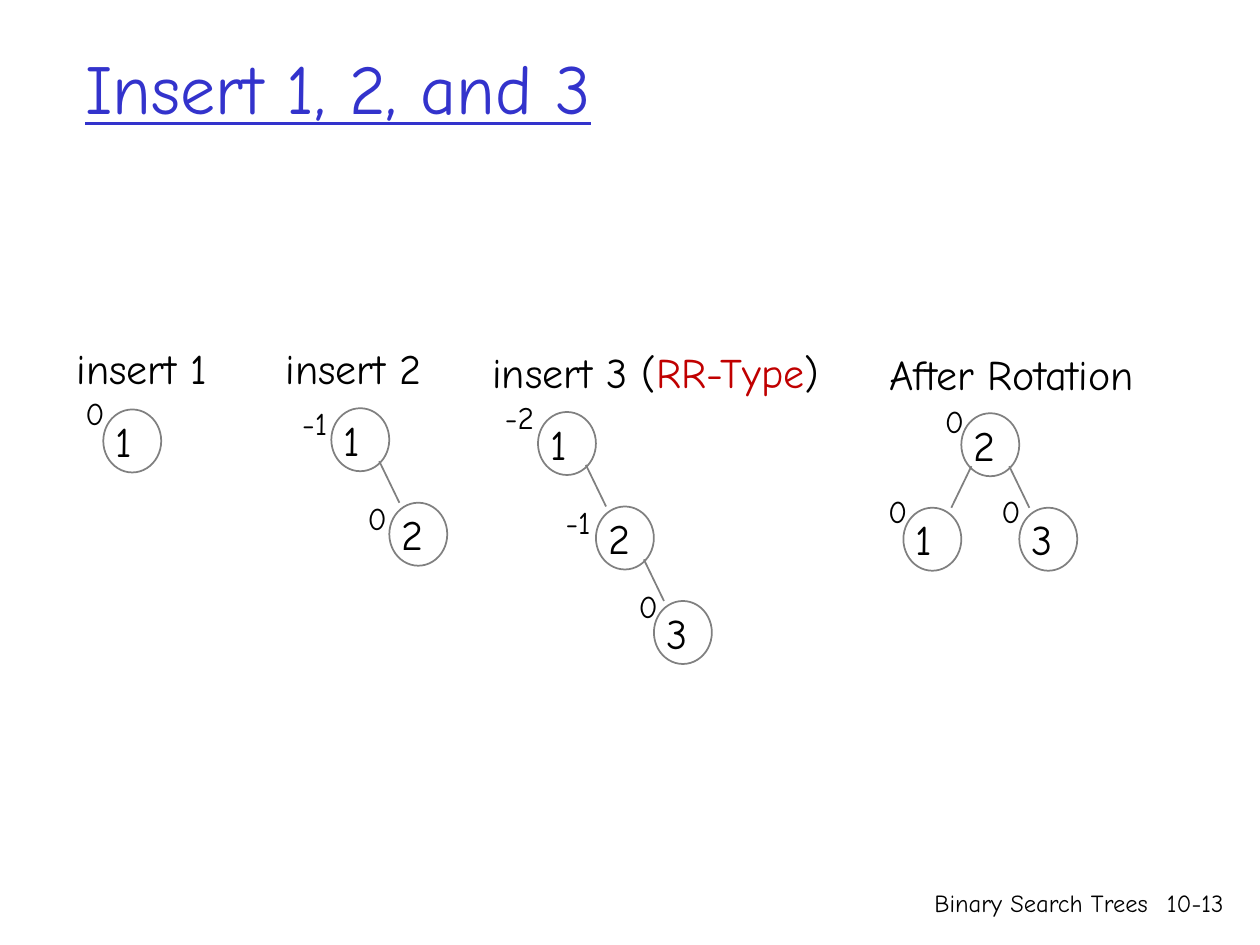
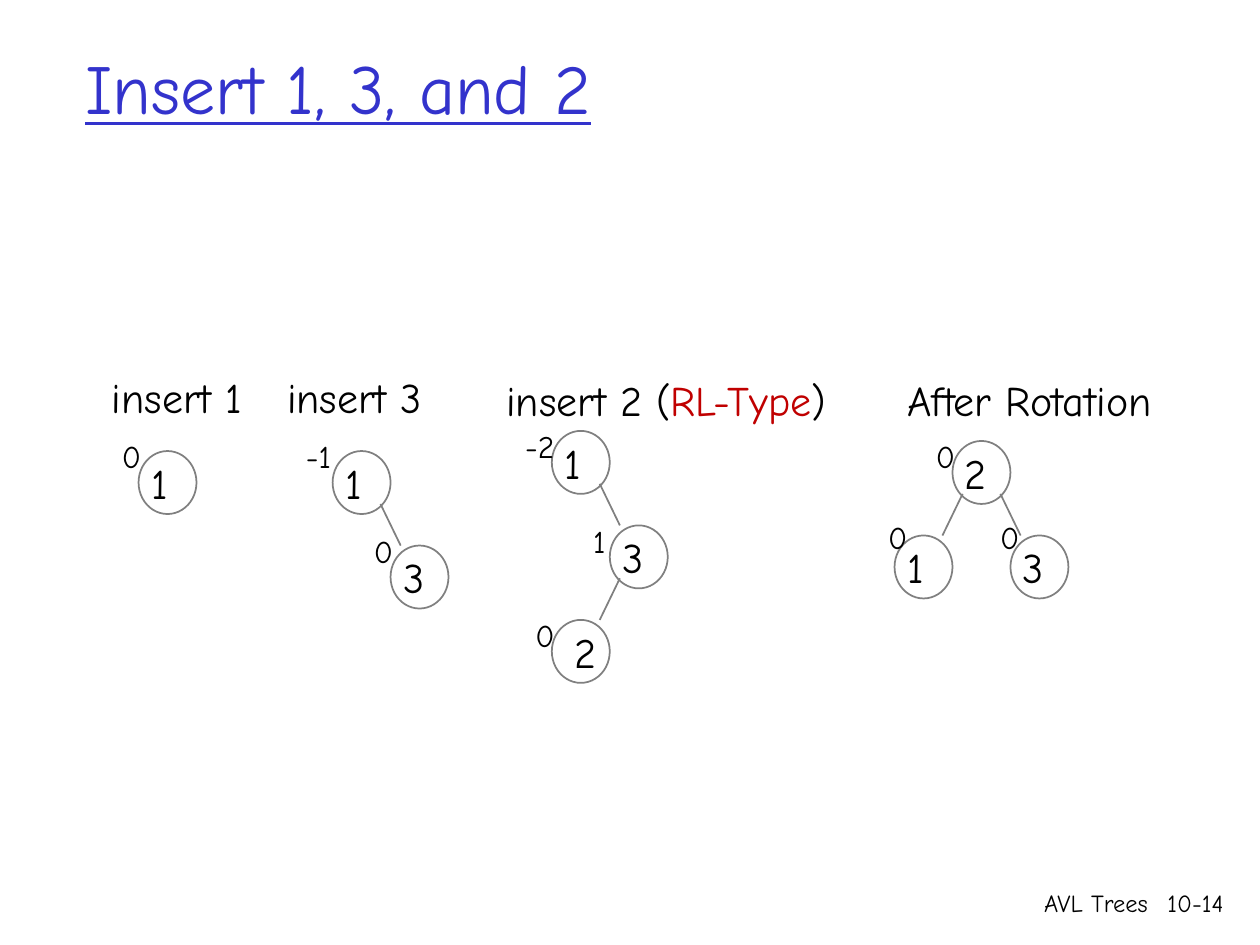
import dataclasses
import typing

import pptx
import pptx.dml.color
import pptx.enum.shapes
import pptx.enum.text
import pptx.oxml.ns
import pptx.util
from lxml import etree
from pptx.util import Inches

FONT = "Comic Neue"
COLORS = {"title": "3333CC", "text": "000000", "type": "C00000", "line": "808080"}

NODE_W, NODE_H = 0.46, 0.5
LEVEL_H = 0.75
KEY_W = 0.38
EDGE_INSET, EDGE_DROP, EDGE_LAND = 0.08, 0.42, 0.31
BALANCE_WIDTHS = {"0": 0.36, "1": 0.32, "-1": 0.42, "-2": 0.46}


@dataclasses.dataclass
class Node:
    """A tree node; offset places its balance factor relative to its circle."""
    key: str
    balance: str
    offset: tuple
    left: typing.Optional["Node"] = None
    right: typing.Optional["Node"] = None
    key_shift: float = 0


def rgb(name):
    return pptx.dml.color.RGBColor.from_string(COLORS[name])


def add_text(shapes, box, runs, size, wrap=False, align=None, underline=None):
    """Add a text box holding one paragraph of (text, colour name) runs."""
    sp = shapes.add_textbox(*map(Inches, box))
    tf = sp.text_frame
    tf.word_wrap = wrap
    p = tf.paragraphs[0]
    p.alignment = align
    for text, color in runs:
        r = p.add_run()
        r.text = text
        r.font.name = FONT
        r.font.size = pptx.util.Pt(size)
        r.font.underline = underline
        r.font.color.rgb = rgb(color)
    return sp


def style_line(sp):
    sp.line.color.rgb = rgb("line")
    sp.line.width = pptx.util.Pt(1)


def add_edge(shapes, x, y, side):
    """Join the node at x, y to its child; side is -1 for left, 1 for right."""
    center = x + NODE_W / 2
    start = center + side * (NODE_W / 2 - EDGE_INSET)
    end = center + side * EDGE_LAND
    line = shapes.add_connector(
        pptx.enum.shapes.MSO_CONNECTOR.STRAIGHT,
        Inches(start), Inches(y + EDGE_DROP), Inches(end), Inches(y + LEVEL_H))
    style_line(line)
    etree.SubElement(line._element.spPr, pptx.oxml.ns.qn("a:effectLst"))


def add_node(shapes, node, x, y):
    """Draw a node and, below it, its subtrees."""
    circle = shapes.add_shape(pptx.enum.shapes.MSO_SHAPE.OVAL,
                              *map(Inches, (x, y, NODE_W, NODE_H)))
    circle.shadow.inherit = False
    circle.fill.background()
    style_line(circle)
    add_text(shapes, (x + node.key_shift, y, KEY_W, NODE_H),
             [(node.key, "text")], 24, wrap=True)
    dx, dy = node.offset
    add_text(shapes, (x + dx, y + dy, BALANCE_WIDTHS[node.balance], 0.4),
             [(node.balance, "text")], 18)
    for side, child in ((-1, node.left), (1, node.right)):
        if child:
            add_edge(shapes, x, y, side)
            add_node(shapes, child, x + side * NODE_W, y + LEVEL_H)


def add_step(slide, heading, heading_at, width, root, root_at):
    """Group one insertion step: its heading and the resulting tree."""
    shapes = slide.shapes.add_group_shape().shapes
    runs = [(heading, "text")] if isinstance(heading, str) else heading
    add_text(shapes, (*heading_at, width, 0.51), runs, 24)
    add_node(shapes, root, *root_at)


def typed_heading(step, rotation):
    return [(f"{step} (", "text"), (rotation, "type"), (")", "text")]


def add_slide(prs, title, topic, number, steps):
    slide = prs.slides.add_slide(prs.slide_layouts[6])
    right = pptx.enum.text.PP_ALIGN.RIGHT
    for box, text in (((6.04, 7, 3.17, 0.5), topic), ((9.08, 7, 0.73, 0.5), number)):
        add_text(slide.shapes, box, [(text, "text")], 14, True, right)
    sp = add_text(slide.shapes, (0.58, 0.25, 8.5, 0.88), [(title, "title")], 40,
                  wrap=True, underline=True)
    sp.text_frame.vertical_anchor = pptx.enum.text.MSO_ANCHOR.MIDDLE
    for step in steps:
        add_step(slide, *step)


def main():
    prs = pptx.Presentation()
    prs.slide_width, prs.slide_height = Inches(10), Inches(7.5)

    add_slide(prs, "Insert 1, 2, and 3", "Binary Search Trees", "10-13", [
        ("insert 1", (0.51, 2.67), 1.39,
         Node("1", "0", (-0.24, -0.17)), (0.82, 3.25)),
        ("insert 2", (2.17, 2.67), 1.44,
         Node("1", "-1", (-0.33, -0.08),
              right=Node("2", "0", (-0.27, -0.08))), (2.63, 3.24)),
        (typed_heading("insert 3", "RR-Type"), (3.81, 2.7), 3.12,
         Node("1", "-2", (-0.36, -0.16),
              right=Node("2", "-1", (-0.34, -0.08),
                         right=Node("3", "0", (-0.22, -0.16)))), (4.27, 3.27)),
        ("After Rotation", (6.96, 2.72), 2.55,
         Node("2", "0", (-0.23, -0.14),
              left=Node("1", "0", (-0.22, -0.17)),
              right=Node("3", "0", (-0.24, -0.17))), (7.63, 3.28)),
    ])

    add_slide(prs, "Insert 1, 3, and 2", "AVL Trees", "10-14", [
        ("insert 1", (0.79, 2.9), 1.39,
         Node("1", "0", (-0.23, -0.16)), (1.1, 3.58)),
        ("insert 3", (2.18, 2.9), 1.44,
         Node("1", "-1", (-0.31, -0.16),
              right=Node("3", "0", (-0.23, -0.16))), (2.64, 3.58)),
        ("After Rotation", (7.1, 2.92), 2.55,
         Node("2", "0", (-0.23, -0.08),
              left=Node("1", "0", (-0.15, -0.19)),
              right=Node("3", "0", (-0.18, -0.19))), (7.56, 3.5)),
        (typed_heading("insert 2", "RL-Type"), (3.92, 2.92), 3.1,
         Node("1", "-2", (-0.31, -0.08),
              right=Node("3", "1", (-0.23, -0.08),
                         left=Node("2", "0", (-0.23, -0.08), key_shift=0.08))),
         (4.38, 3.42)),
    ])

    prs.save("out.pptx")


if __name__ == "__main__":
    main()
